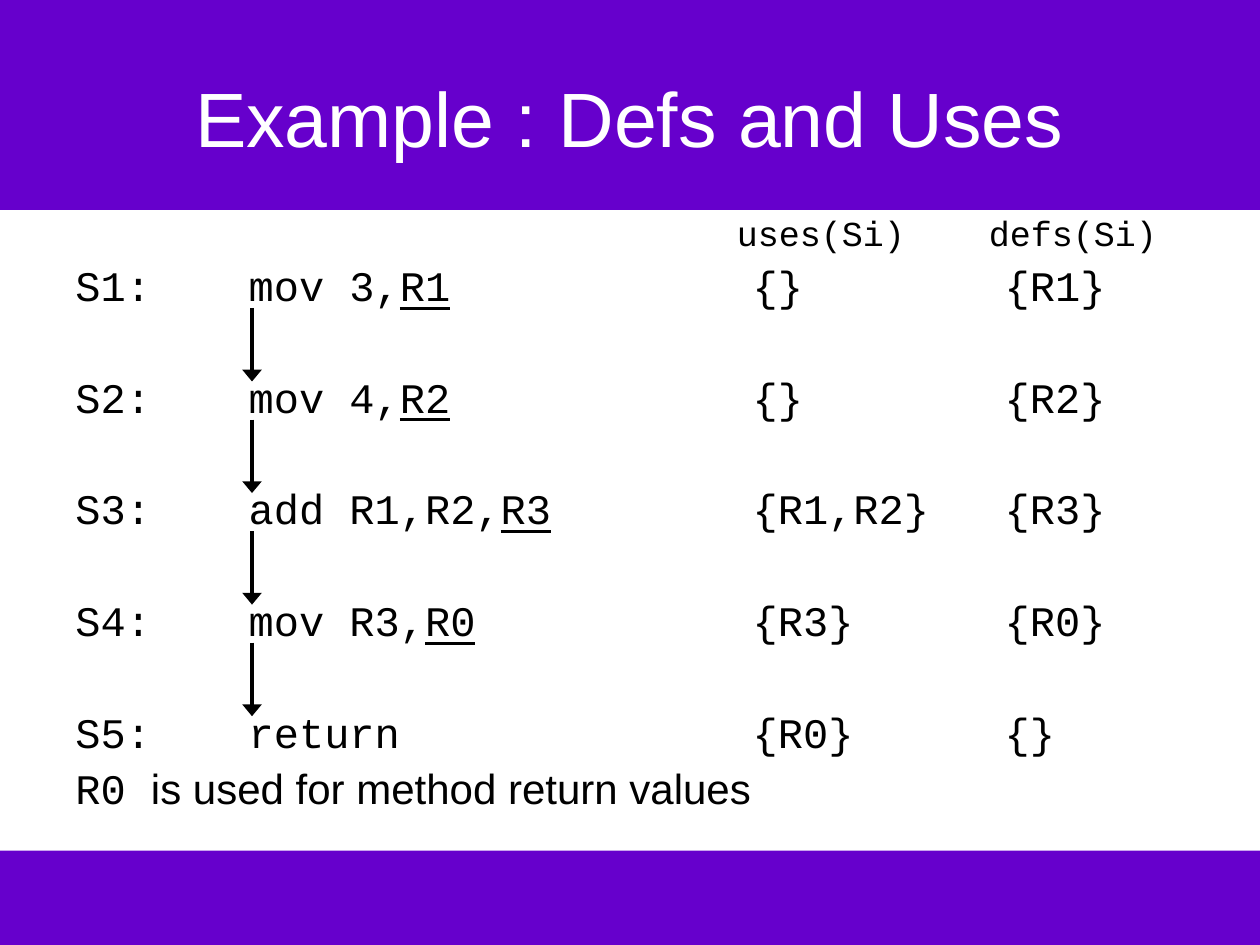
from lxml import etree
from pptx import Presentation
from pptx.dml.color import RGBColor
from pptx.enum.shapes import MSO_CONNECTOR, MSO_SHAPE
from pptx.enum.text import MSO_ANCHOR, PP_ALIGN
from pptx.oxml.ns import qn
from pptx.util import Pt

RECTANGLE = MSO_SHAPE.RECTANGLE
STRAIGHT = MSO_CONNECTOR.STRAIGHT
CENTER, MIDDLE = PP_ALIGN.CENTER, MSO_ANCHOR.MIDDLE

COLORS = {"band": "6600CC", "title": "FFFFFF", "ink": "000000"}
SANS, MONO = "Arial", "Courier New"
WIDTH, HEIGHT = 720, 540
TITLE_ONLY = 5

# label, instruction up to the defined register, defined register, uses, defs
STATEMENTS = [
    ("S1:", "mov 3,", "R1", "{}", "{R1}"),
    ("S2:", "mov 4,", "R2", "{}", "{R2}"),
    ("S3:", "add R1,R2,", "R3", "{R1,R2}", "{R3}"),
    ("S4:", "mov R3,", "R0", "{R3}", "{R0}"),
    ("S5:", "return", "", "{R0}", "{}"),
]
HEADER_TABS = (378, 522)
STATEMENT_TABS = (99, 387, 531)
STATEMENT_GAP = 37.9
STATEMENT_PITCH = 63.75


def color(name):
    return RGBColor.from_string(COLORS[name])


def place(shape, box):
    shape.left, shape.top, shape.width, shape.height = map(Pt, box)


def add_text(paragraph, text, font=MONO, size=24, ink="ink", underline=False):
    run = paragraph.add_run()
    run.text = text
    run.font.name = font
    run.font.size = Pt(size)
    run.font.color.rgb = color(ink)
    run.font.underline = underline


def set_tabs(paragraph, stops):
    tab_list = etree.SubElement(paragraph._p.get_or_add_pPr(), qn("a:tabLst"))
    for stop in stops:
        etree.SubElement(tab_list, qn("a:tab"), pos=str(Pt(stop)), algn="l")


def add_band(slide, box):
    band = slide.shapes.add_shape(RECTANGLE, *map(Pt, box))
    band.shadow.inherit = False
    band.fill.solid()
    band.fill.fore_color.rgb = color("band")
    band.line.fill.background()


def add_title(slide, box, text):
    title = slide.shapes.title
    place(title, box)
    # The title stands in front of the band behind it.
    title.element.getparent().append(title.element)
    title.text_frame.vertical_anchor = MIDDLE
    paragraph = title.text_frame.paragraphs[0]
    paragraph.alignment = CENTER
    add_text(paragraph, text, font=SANS, size=44, ink="title")


def add_flow_arrow(slide, x, top, length):
    arrow = slide.shapes.add_connector(
        STRAIGHT, Pt(x), Pt(top), Pt(x), Pt(top + length))
    arrow.line.color.rgb = color("ink")
    arrow.line.width = Pt(2.25)
    etree.SubElement(arrow.line._get_or_add_ln(), qn("a:tailEnd"),
                     type="triangle", w="lg", len="med")
    etree.SubElement(arrow._element.spPr, qn("a:effectLst"))


def add_listing(slide, box):
    """Statements with uses and defs in tabbed columns, joined by flow arrows."""
    left, top = box[:2]
    frame = slide.shapes.add_textbox(*map(Pt, box)).text_frame
    frame.word_wrap = True

    def add_line(space_before, tabs=()):
        paragraph = frame.add_paragraph()
        paragraph.line_spacing = 0.9
        paragraph.space_before = Pt(space_before)
        if tabs:
            set_tabs(paragraph, tabs)
        return paragraph

    header = frame.paragraphs[0]
    header.line_spacing = 0.9
    set_tabs(header, HEADER_TABS)
    add_text(header, "\tuses(Si)\tdefs(Si)", size=20)

    for index, (label, code, target, uses, defs) in enumerate(STATEMENTS):
        paragraph = add_line(STATEMENT_GAP if index else 6.5, STATEMENT_TABS)
        add_text(paragraph, f"{label}\t{code}")
        if target:
            add_text(paragraph, target, underline=True)
        add_text(paragraph, f"\t{uses}\t{defs}")

    note = add_line(6)
    add_text(note, "R0 ")
    add_text(note, "is used for method return values", font=SANS)

    for index in range(len(STATEMENTS) - 1):
        add_flow_arrow(slide, left + 108, top + 56 + index * STATEMENT_PITCH, 42)


def main():
    presentation = Presentation()
    presentation.slide_width, presentation.slide_height = Pt(WIDTH), Pt(HEIGHT)
    slide = presentation.slides.add_slide(presentation.slide_layouts[TITLE_ONLY])
    add_band(slide, (0, 486, WIDTH, 54))
    add_band(slide, (0, 0, WIDTH, 120))
    add_title(slide, (36, 21.6, 648, 90), "Example : Defs and Uses")
    add_listing(slide, (36, 120, 684, 356.4))
    presentation.save("out.pptx")


if __name__ == "__main__":
    main()
